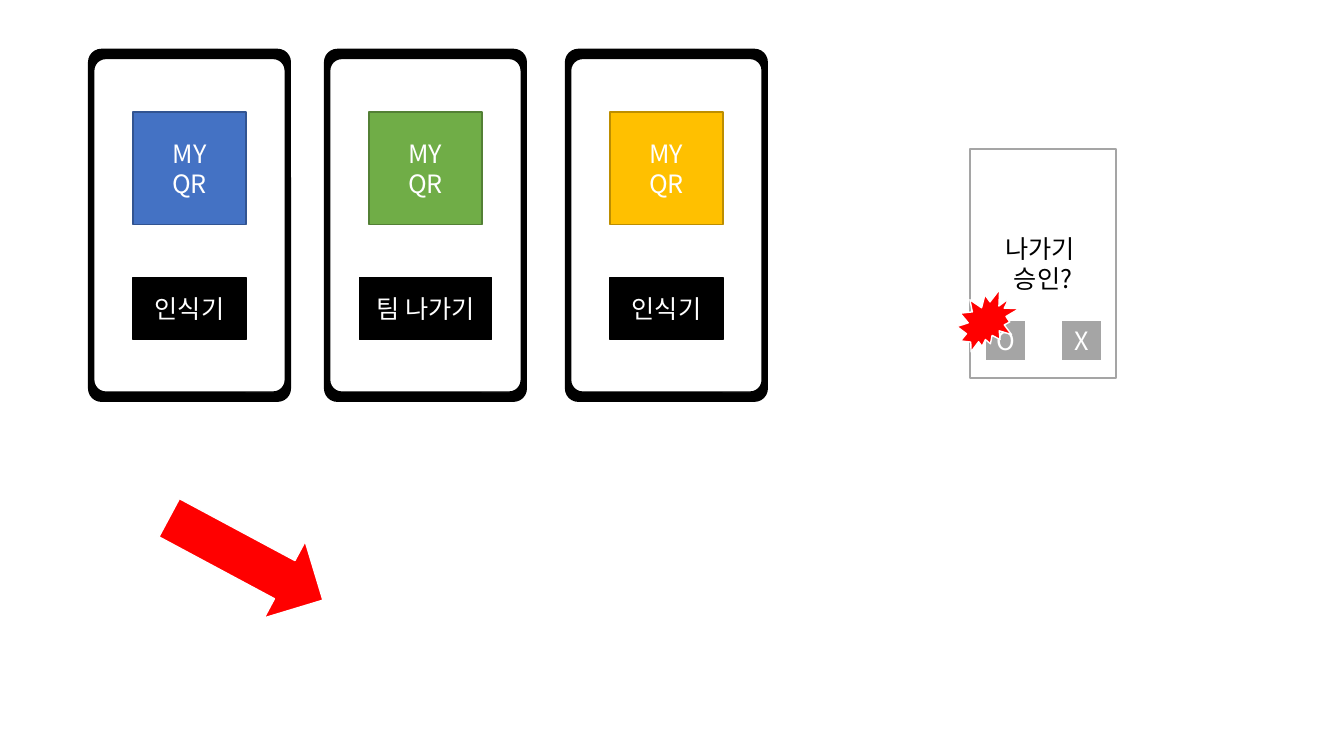
from dataclasses import dataclass
from lxml import etree
from pptx import Presentation
from pptx import util as u
from pptx.dml.color import RGBColor
from pptx.enum import shapes, text
from pptx.oxml.ns import qn


@dataclass(frozen=True)
class Theme:
    font: str = "Noto Sans CJK KR"
    size: int = 18
    black: str = "000000"
    white: str = "FFFFFF"
    red: str = "FF0000"
    gray: str = "A5A5A5"
    blue: tuple = ("4472C4", "325491")
    green: tuple = ("70AD47", "538035")
    yellow: tuple = ("FFC000", "BD8E00")


class Mockup:
    """Draws app screens on a slide in one style."""

    def __init__(self, theme, slide):
        self.theme = theme
        self.slide = slide

    def shape(self, parent, kind, box, fill, line, width=1):
        shape = parent.shapes.add_shape(kind, *map(u.Inches, box))
        shape.shadow.inherit = False
        shape.fill.solid()
        shape.fill.fore_color.rgb = RGBColor.from_string(fill)
        shape.line.color.rgb = RGBColor.from_string(line)
        shape.line.width = u.Pt(width)
        return shape

    def label_box(self, parent, box, label, fill, line, color, width=1):
        shape = self.shape(parent, shapes.MSO_SHAPE.RECTANGLE, box, fill, line, width)
        frame = shape.text_frame
        frame.word_wrap = True
        frame.vertical_anchor = text.MSO_ANCHOR.MIDDLE
        frame.text = label
        for paragraph in frame.paragraphs:
            paragraph.alignment = text.PP_ALIGN.CENTER
            paragraph.font.name = self.theme.font
            paragraph.font.size = u.Pt(self.theme.size)
            paragraph.font.color.rgb = RGBColor.from_string(color)
            defaults = paragraph._p.pPr.find(qn("a:defRPr"))
            etree.SubElement(defaults, qn("a:ea"), typeface=self.theme.font)

    def phone(self, left, colors, button, button_width):
        theme = self.theme
        group = self.slide.shapes.add_group_shape()
        center = left + 1
        for width, top, height, fill in ((2, 0.49, 3.49, theme.black),
                                         (1.9, 0.58, 3.31, theme.white)):
            body = self.shape(group, shapes.MSO_SHAPE.ROUNDED_RECTANGLE,
                              (center - width / 2, top, width, height), fill, theme.black)
            body.adjustments[0] = 0.063
        self.label_box(group, (center - 0.56, 1.11, 1.12, 1.12), "MY\nQR",
                       *colors, theme.white)
        self.label_box(group, (center - button_width / 2, 2.75, button_width, 0.62),
                       button, theme.black, theme.black, theme.white)

    def dialog(self):
        theme = self.theme
        group = self.slide.shapes.add_group_shape()
        self.label_box(group, (9.62, 1.48, 1.45, 2.27), "나가기 \n승인?",
                       theme.white, theme.gray, theme.black)
        for left, answer in ((9.77, "O"), (10.52, "X")):
            self.label_box(group, (left, 3.17, 0.41, 0.41), answer,
                           theme.gray, theme.white, theme.white, 1.5)

    def marker(self, kind, box, rotation=0):
        shape = self.shape(self.slide, kind, box, self.theme.red, self.theme.white)
        shape.rotation = rotation


def main():
    presentation = Presentation()
    presentation.slide_width = u.Inches(13.33)
    presentation.slide_height = u.Inches(7.5)
    slide = presentation.slides.add_slide(presentation.slide_layouts[6])
    theme = Theme()
    mockup = Mockup(theme, slide)
    mockup.phone(0.88, theme.blue, "인식기", 1.12)
    mockup.phone(3.22, theme.green, "팀 나가기", 1.31)
    mockup.marker(shapes.MSO_SHAPE.UP_ARROW, (2.01, 4.68, 0.86, 1.73), 118.2)
    mockup.phone(5.61, theme.yellow, "인식기", 1.12)
    mockup.dialog()
    mockup.marker(shapes.MSO_SHAPE.EXPLOSION2, (9.49, 2.87, 0.62, 0.62))
    presentation.save("out.pptx")


if __name__ == "__main__":
    main()
